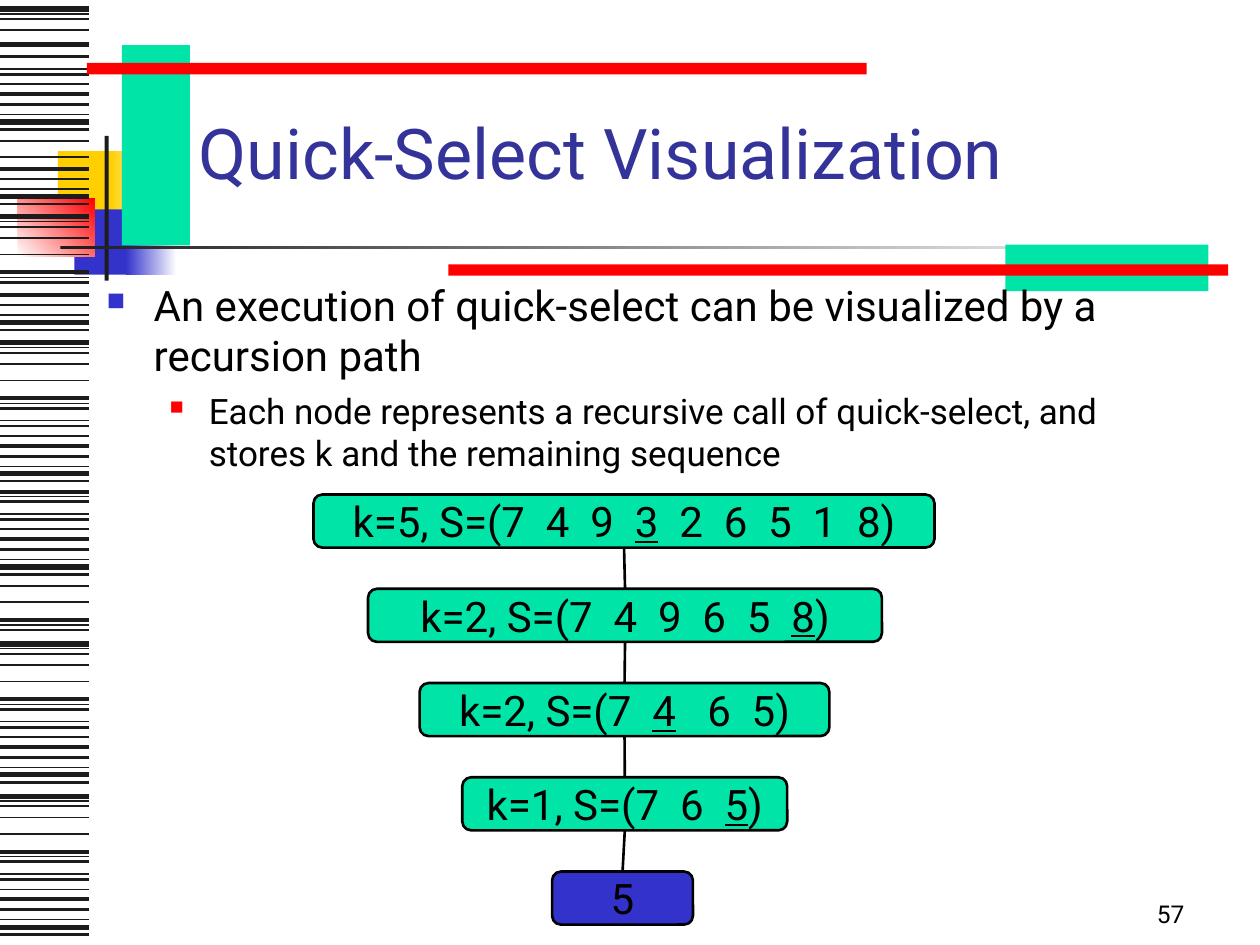
from dataclasses import dataclass

from lxml import etree
from pptx import Presentation
from pptx.dml.color import RGBColor
from pptx.enum import shapes, text
from pptx.oxml import ns
from pptx.util import Cm, Pt


@dataclass(frozen=True)
class Theme:
    font: str = "Roboto"
    black: str = "000000"
    dark: str = "1C1C1C"
    white: str = "FFFFFF"
    yellow: str = "FFCF01"
    blue: str = "3333CC"
    title_blue: str = "333399"
    red: str = "FF0000"
    green: str = "00E4A8"
    title: int = 40
    body: int = 24
    detail: int = 20
    number: int = 14


T = Theme()


def add_run(p, words, size, color=T.black, underline=None):
    r = p.add_run()
    r.text = words
    r.font.name = T.font
    r.font.size = Pt(size)
    r.font.color.rgb = RGBColor.from_string(color)
    r.font.underline = underline


def add_line(x1, y1, x2, y2, color, weight):
    line = s.shapes.add_connector(shapes.MSO_CONNECTOR.STRAIGHT, Cm(x1), Cm(y1), Cm(x2), Cm(y2))
    line.line.color.rgb = RGBColor.from_string(color)
    line.line.width = Pt(weight)
    etree.SubElement(line._element.spPr, ns.qn("a:effectLst"))
    return line


prs = Presentation()
prs.slide_width, prs.slide_height = Cm(25.4), Cm(19.05)
s = prs.slides.add_slide(prs.slide_layouts[6])

# Barcode: one motif of (offset, weight) repeated, whole or in part, down the edge
motif = [(0, 3), (0.1, 0.75), (0.2, 1), (0.43, 1), (0.76, 1), (1.12, 2.25), (1.22, 0.75),
         (1.32, 1.5), (1.57, 0.75), (1.68, 1.5), (1.88, 1), (2.08, 2.25), (2.29, 1.5),
         (2.49, 0.75), (2.64, 3), (2.79, 1.5)]
# Motif origin, first stripe, end stripe
repeats = [(0.18, 0, 4), (0.89, 0, 1), (-0.18, 7, 16), (2.41, 3, 5), (1.32, 11, 16),
           (4.37, 0, 8), (3.86, 11, 16), (6.91, 0, 16), (8.79, 5, 16), (11.38, 3, 8),
           (12.98, 0, 16), (16.05, 0, 16)]

# Decoration: left, top, width, height, colours (two make a gradient), angle
squares = [
    (1.17, 3.05, 1.22, 1.32, [T.yellow], 0),
    (2.24, 3.05, 0.91, 1.32, [T.yellow, T.white], 0),
    (1.5, 4.22, 1.17, 1.32, [T.blue], 0),
    (2.54, 4.22, 1.02, 1.32, [T.blue, T.white], 0),
    (0.36, 4.01, 1.55, 1.17, [T.white, T.red], 45),
    (2.11, 2.74, 0.08, 2.92, [T.dark], 0),
    (1.22, 4.95, 22.86, 0.08, [T.dark, T.white], 0),
]
bars = [
    (2.46, 0.91, 1.37, 4.04, [T.green], 0),
    (1.75, 1.27, 15.72, 0.23, [T.red], 0),
    (20.27, 4.93, 4.09, 0.94, [T.green], 0),
    (9.04, 5.33, 15.72, 0.23, [T.red], 0),
]
for layer in (squares, bars):
    if layer is bars:  # the barcode lies between the two layers
        for origin, first, end in repeats:
            for offset, weight in motif[first:end]:
                add_line(0, origin + offset, 1.8, origin + offset, T.dark, weight)
    for x, y, w, h, colors, angle in layer:
        sp = s.shapes.add_shape(shapes.MSO_SHAPE.RECTANGLE, Cm(x), Cm(y), Cm(w), Cm(h))
        sp.shadow.inherit = False
        sp.line.fill.background()
        if len(colors) == 1:
            sp.fill.solid()
            sp.fill.fore_color.rgb = RGBColor.from_string(colors[0])
        else:
            sp.fill.gradient()
            sp.fill.gradient_angle = angle
            for stop, color in zip(sp.fill.gradient_stops, colors):
                stop.color.rgb = RGBColor.from_string(color)

# Text boxes: position, anchor, alignment, paragraphs of
# (words, size, colour, bullet as (left, hanging, colour, percent, space before))
text_boxes = [
    ((18.85, 17.58, 5.28, 1.27), text.MSO_ANCHOR.BOTTOM, text.PP_ALIGN.RIGHT,
     [("57", T.number, T.black, None)]),
    ((3.76, 0.84, 21.64, 3.18), text.MSO_ANCHOR.BOTTOM, text.PP_ALIGN.LEFT,
     [("Quick-Select Visualization", T.title, T.title_blue, None)]),
    ((1.9, 5.51, 21.8, 5.51), text.MSO_ANCHOR.TOP, text.PP_ALIGN.LEFT,
     [("An execution of quick-select can be visualized by a recursion path",
       T.body, T.black, (0.95, 0.95, T.blue, 60, 0)),
      ("Each node represents a recursive call of quick-select, and stores k and "
       "the remaining sequence", T.detail, T.black, (2.06, 0.79, T.red, 55, 5))]),
]
for place, anchor, align, paragraphs in text_boxes:
    tf = s.shapes.add_textbox(*map(Cm, place)).text_frame
    tf.word_wrap = True
    tf.vertical_anchor = anchor
    for i, (words, size, color, bullet) in enumerate(paragraphs):
        p = tf.add_paragraph() if i else tf.paragraphs[0]
        p.alignment = align
        if bullet:
            left, hanging, bullet_color, percent, before = bullet
            pPr = p._p.get_or_add_pPr()
            pPr.set("marL", str(Cm(left)))
            pPr.set("indent", str(-Cm(hanging)))
            clr = etree.SubElement(pPr, ns.qn("a:buClr"))
            etree.SubElement(clr, ns.qn("a:srgbClr"), val=bullet_color)
            etree.SubElement(pPr, ns.qn("a:buSzPct"), val=str(percent * 1000))
            etree.SubElement(pPr, ns.qn("a:buChar"), char="■")
            p.space_before = Pt(before)
        add_run(p, words, size, color)

# Recursion path: left, width, fill, text before the pivot, pivot, text after it
calls = [
    (6.32, 12.52, T.green, "k=5, S=(7  4  9  ", "3", "  2  6  5  1  8)"),
    (7.42, 10.36, T.green, "k=2, S=(7  4  9  6  5  ", "8", ")"),
    (8.46, 8.26, T.green, "k=2, S=(7  ", "4", "   6  5)"),
    (9.32, 6.55, T.green, "k=1, S=(7  6  ", "5", ")"),
    (11.13, 2.84, T.blue, "5", "", ""),
]
top, pitch, height = 9.97, 1.9, 1.07
parent = None
for i, (x, w, fill, before, pivot, after) in enumerate(calls):
    node = s.shapes.add_shape(shapes.MSO_SHAPE.ROUNDED_RECTANGLE,
                              Cm(x), Cm(top + i * pitch), Cm(w), Cm(height))
    node.shadow.inherit = False
    node.fill.solid()
    node.fill.fore_color.rgb = RGBColor.from_string(fill)
    node.line.color.rgb = RGBColor.from_string(T.black)
    node.line.width = Pt(1.5)
    tf = node.text_frame
    tf.word_wrap = False
    tf.vertical_anchor = text.MSO_ANCHOR.MIDDLE
    p = tf.paragraphs[0]
    p.alignment = text.PP_ALIGN.CENTER
    for words, underline in ((before, None), (pivot, True), (after, None)):
        if words:
            add_run(p, words, T.body, underline=underline)
    if parent is not None:
        link = add_line(0, 0, 0, 0, T.black, 1.5)
        link.begin_connect(parent, 2)
        link.end_connect(node, 0)
    parent = node

prs.save("out.pptx")
